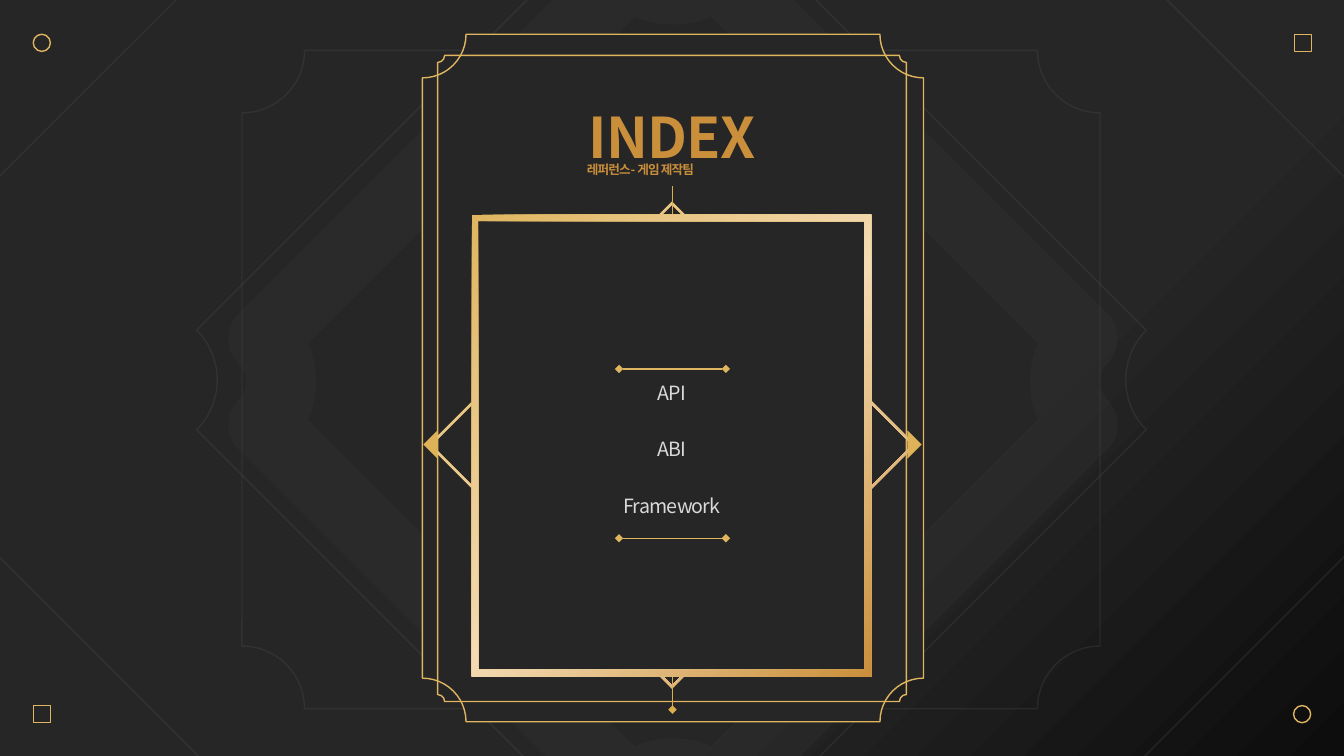
from lxml import etree
from pptx import Presentation
from pptx import util as u
from pptx.dml.color import RGBColor
from pptx.enum import shapes, text
from pptx.oxml.ns import qn

SHAPE = shapes.MSO_SHAPE
ALIGN = text.PP_ALIGN
FONT = "Noto Sans CJK KR"
GOLD, STEM_GOLD, TIP_GOLD = "DFB55F", "DCAE4B", "DEB258"
CHARCOAL = "262626"
METAL = [(0, "CA8F3B"), (48, "F4DBB3"), (100, GOLD)]
LETTERING = [(0, "CA8F3B"), (100, GOLD)]
NIGHT = [(0, "0D0D0D"), (33, CHARCOAL), (82, CHARCOAL)]


def paint(fill, colour, owner=None, opacity=100):
    """Solid hex colour, or a list of stops radiating from the bottom right."""
    if isinstance(colour, str):
        fill.solid()
        fill.fore_color.rgb = RGBColor.from_string(colour)
        if opacity < 100:
            tone = owner.find(".//" + qn("a:ln")).find(".//" + qn("a:srgbClr"))
            etree.SubElement(tone, qn("a:alpha"), val=str(opacity * 1000))
        return
    fill.gradient()
    gradient = owner.find(".//" + qn("a:gradFill"))
    for child in list(gradient):
        gradient.remove(child)
    gradient.set("rotWithShape", "1")
    stops = etree.SubElement(gradient, qn("a:gsLst"))
    for place, tone in colour:
        stop = etree.SubElement(stops, qn("a:gs"), pos=str(place * 1000))
        etree.SubElement(stop, qn("a:srgbClr"), val=tone)
    circle = etree.SubElement(gradient, qn("a:path"))
    circle.set("path", "circle")
    etree.SubElement(circle, qn("a:fillToRect"), l="100000", t="100000")


def draw(kind, left, top, width, height, fill=None, line=None, weight=1,
         opacity=100, turn=0, adjust=None, ends=()):
    """Preset shape, or a straight line when kind is None."""
    if kind is None:
        item = page.shapes.add_connector(
            shapes.MSO_CONNECTOR.STRAIGHT, u.Inches(left), u.Inches(top),
            u.Inches(left + width), u.Inches(top + height))
    else:
        item = page.shapes.add_shape(kind, u.Inches(left), u.Inches(top),
                                     u.Inches(width), u.Inches(height))
        item.shadow.inherit = False
        item.rotation = turn
        if adjust is not None:
            item.adjustments[0] = adjust
        if fill:
            paint(item.fill, fill, item._element.spPr)
        else:
            item.fill.background()
    if line:
        item.line.width = u.Pt(weight)
        paint(item.line.fill, line, item._element.spPr, opacity)
    else:
        item.line.fill.background()
    for end in ends:
        etree.SubElement(item.line._get_or_add_ln(), qn("a:" + end), type="diamond")
    if kind is None:
        etree.SubElement(item._element.spPr, qn("a:effectLst"))
    return item


deck = Presentation()
deck.slide_width, deck.slide_height = u.Inches(13.33), u.Inches(7.5)
page = deck.slides.add_slide(deck.slide_layouts[6])
paint(page.background.fill, NIGHT, page._element)

# Faint plaques behind the card
for left, top, width, height, turn, tone, weight, opacity in [
    (0.61, -2.41, 12.1, 12.1, 45, "595959", 1, 24),
    (2.4, 0.5, 8.51, 6.53, 0, "595959", 1, 24),
    (2.98, 0.09, 7.36, 7.36, 45, "595959", 1, 24),
    (3.5, 0.61, 6.35, 6.35, 45, "404040", 50, 18),
]:
    draw(SHAPE.PLAQUE, left, top, width, height, line=tone, weight=weight,
         opacity=opacity, turn=turn, adjust=0.095)

# Card with double gold outline
draw(SHAPE.PLAQUE, 4.19, 0.34, 4.97, 6.82, fill=CHARCOAL, line=GOLD, adjust=0.087)
draw(SHAPE.PLAQUE, 4.34, 0.55, 4.65, 6.41, line=GOLD, adjust=0.015)

# Diamond with side tips and vertical stems
draw(SHAPE.FRAME, 4.96, 2.71, 3.41, 3.41, fill=METAL, turn=45, adjust=0.005)
for left, turn in [(4.13, 270), (8.93, 90)]:
    draw(SHAPE.ISOSCELES_TRIANGLE, left, 4.34, 0.28, 0.14, fill=TIP_GOLD, turn=turn)
for top, length in [(1.85, 0.69), (6.16, 0.88)]:
    draw(None, 6.67, top, 0, length, line=STEM_GOLD, ends=["tailEnd"])

# Index panel, its frame and the two rules
panel = draw(SHAPE.RECTANGLE, 4.74, 2.15, 3.85, 4.56, fill=CHARCOAL)
draw(SHAPE.FRAME, 4.68, 2.13, 3.96, 4.58, fill=METAL, adjust=0.016)
for top in (3.66, 5.34):
    draw(None, 6.14, top, 1.06, 0, line=GOLD, ends=["headEnd", "tailEnd"])

# Corner marks
for kind, left, top in [
    (SHAPE.OVAL, 0.33, 0.34), (SHAPE.RECTANGLE, 12.84, 0.34),
    (SHAPE.RECTANGLE, 0.33, 7), (SHAPE.OVAL, 12.83, 7),
]:
    draw(kind, left, top, 0.17, 0.17, line=GOLD)

# Title, subtitle and index entries
title = page.shapes.add_textbox(u.Inches(5.3), u.Inches(0.94), u.Inches(2.73), u.Inches(0.62))
subtitle = page.shapes.add_textbox(u.Inches(5.82), u.Inches(1.55), u.Inches(1.7), u.Inches(0.21))
for box, lines, size, pitch, align, colour, bold in [
    (title, ["INDEX"], 40, 63, ALIGN.CENTER, LETTERING, True),
    (subtitle, ["레퍼런스- 게임 제작팀"], 9, 15, ALIGN.JUSTIFY, LETTERING, True),
    (panel, ["API", "ABI", "Framework"], 14, 20.2, ALIGN.CENTER, "D9D9D9", False),
]:
    frame = box.text_frame
    frame.word_wrap = True
    frame.vertical_anchor = text.MSO_ANCHOR.MIDDLE
    frame.margin_left = frame.margin_right = frame.margin_top = frame.margin_bottom = 0
    for number, line in enumerate(lines):
        para = frame.add_paragraph() if number else frame.paragraphs[0]
        para.alignment = align
        para.line_spacing = u.Pt(pitch)
        para.space_before = u.Pt(pitch if number else 0)
        span = para.add_run()
        span.text = line
        span.font.size = u.Pt(size)
        span.font.bold = bold
        span.font.name = FONT
        properties = span._r.get_or_add_rPr()
        properties.set("spc", "-60")
        paint(span.font.fill, colour, properties)
        etree.SubElement(properties, qn("a:ea"), typeface=FONT)

deck.save("out.pptx")
